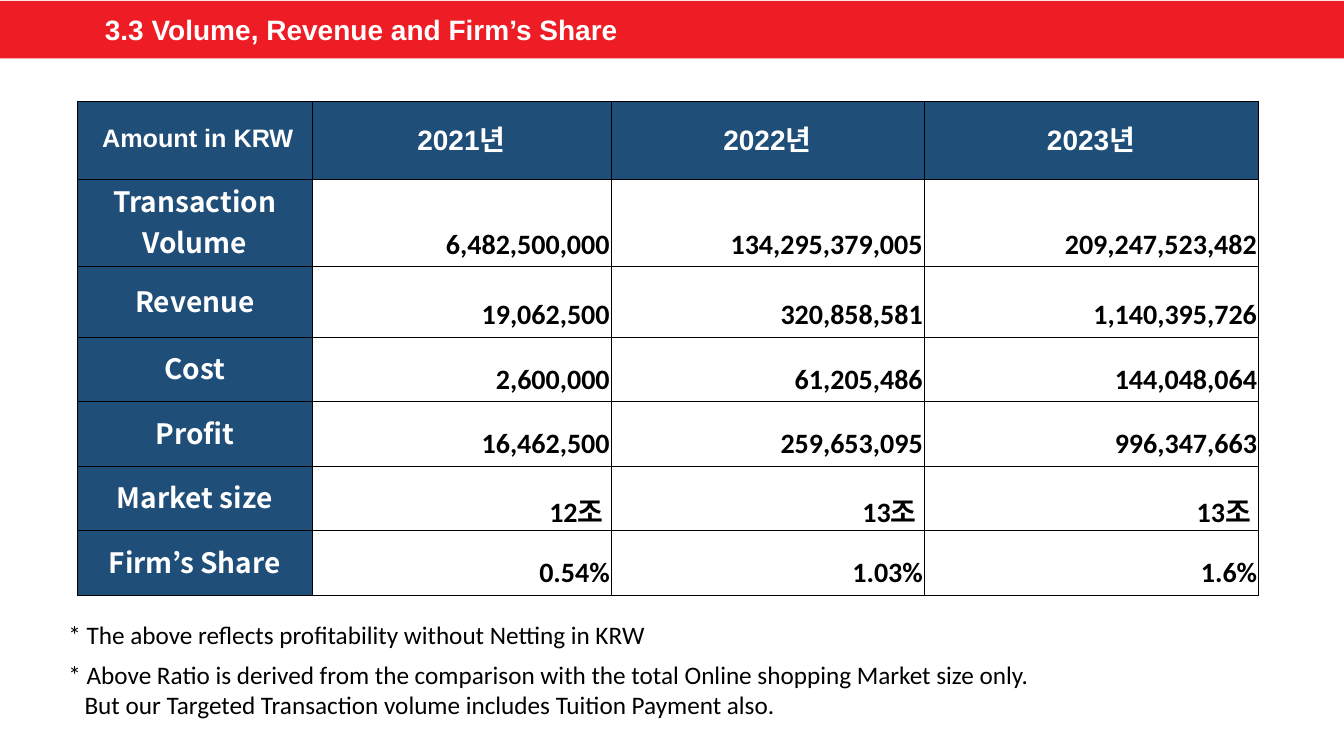
from dataclasses import dataclass

from lxml.etree import SubElement
from pptx import Presentation
from pptx.dml.color import RGBColor
from pptx.enum.text import MSO_ANCHOR, MSO_AUTO_SIZE, PP_ALIGN
from pptx.oxml.ns import qn
from pptx.util import Inches, Pt


@dataclass(frozen=True)
class Theme:
    """Colours, fonts and type sizes of the slide."""
    red: str = "EE1C24"
    navy: str = "1F4E79"
    white: str = "FFFFFF"
    black: str = "000000"
    heading_font: str = "Arial"
    label_font: str = "Noto Sans CJK KR"
    body_font: str = "Calibri"
    large: int = 20
    small: int = 18
    border: float = 0.5


THEME = Theme()

TITLE = "3.3 Volume, Revenue and Firm’s Share"
COLUMN_WIDTHS = [2.32, 2.96, 3.1, 3.31]
ROW_HEIGHTS = [0.77, 0.73, 0.7] + [0.64] * 4
ROWS = [
    [" Amount in KRW", "2021년", "2022년", "2023년"],
    ["Transaction Volume", "6,482,500,000", "134,295,379,005", "209,247,523,482"],
    ["Revenue", "19,062,500", "320,858,581", "1,140,395,726"],
    ["Cost", "2,600,000", "61,205,486", "144,048,064"],
    ["Profit", "16,462,500", "259,653,095", "996,347,663"],
    ["Market size", "12조 ", "13조 ", "13조 "],
    ["Firm’s Share", "0.54%", "1.03%", "1.6%"],
]
PROFIT_NOTE = ["* The above reflects profitability without Netting in KRW"]
RATIO_NOTE = [
    "* Above Ratio is derived from the comparison with the total Online shopping Market size only.",
    "But our Targeted Transaction volume includes Tuition Payment also.",
]


def format_para(para, font, size, color, bold=False, align=PP_ALIGN.LEFT):
    """Set the alignment of a paragraph and the type of its runs."""
    para.alignment = align
    for span in para.runs:
        span.font.name = font
        span.font.size = Pt(size)
        span.font.bold = bold
        span.font.color.rgb = RGBColor.from_string(color)


def indent_para(para, indent):
    """Move a paragraph in from the left."""
    properties = para._p.get_or_add_pPr()
    properties.set("marL", str(Inches(indent)))
    properties.set("indent", "0")


def add_title(page, left, top, width, height):
    """Turn the title placeholder into the red band."""
    title = page.shapes.title
    title.left, title.top = Inches(left), Inches(top)
    title.width, title.height = Inches(width), Inches(height)
    title.fill.solid()
    title.fill.fore_color.rgb = RGBColor.from_string(THEME.red)
    frame = title.text_frame
    frame.text = TITLE
    frame.auto_size = MSO_AUTO_SIZE.NONE
    frame.vertical_anchor = MSO_ANCHOR.MIDDLE
    para = frame.paragraphs[0]
    format_para(para, THEME.heading_font, THEME.large, THEME.white, bold=True)
    indent_para(para, 0.94)


def add_borders(cell):
    """Draw a thin black line on each side of a cell."""
    properties = cell._tc.get_or_add_tcPr()
    for side in ("lnL", "lnR", "lnT", "lnB"):
        line = SubElement(properties, qn(f"a:{side}"), w=str(Pt(THEME.border)))
        fill = SubElement(line, qn("a:solidFill"))
        SubElement(fill, qn("a:srgbClr"), val=THEME.black)


def fill_cell(cell, text, row, column):
    """Write one cell as a column heading, row label or figure."""
    is_figure = row > 0 and column > 0
    cell.margin_left = cell.margin_right = cell.margin_top = Inches(0.01)
    cell.margin_bottom = Inches(0 if is_figure and "조" in text else 0.05)
    add_borders(cell)
    cell.text_frame.text = text
    para = cell.text_frame.paragraphs[0]
    if is_figure:
        cell.fill.background()
        cell.vertical_anchor = MSO_ANCHOR.BOTTOM
        format_para(para, THEME.body_font, THEME.large, THEME.black, True, PP_ALIGN.RIGHT)
    else:
        cell.fill.solid()
        cell.fill.fore_color.rgb = RGBColor.from_string(THEME.navy)
        cell.vertical_anchor = MSO_ANCHOR.MIDDLE
        font = THEME.heading_font if row == 0 else THEME.label_font
        size = THEME.small if row == column == 0 else THEME.large
        format_para(para, font, size, THEME.white, True, PP_ALIGN.CENTER)


def add_figures(page, left, top, width, height):
    """Place the table of yearly figures."""
    table = page.shapes.add_table(
        len(ROWS), len(COLUMN_WIDTHS),
        Inches(left), Inches(top), Inches(width), Inches(height),
    ).table
    table.horz_banding = False
    for column, share in zip(table.columns, COLUMN_WIDTHS):
        column.width = Inches(width * share / sum(COLUMN_WIDTHS))
    for row, share in zip(table.rows, ROW_HEIGHTS):
        row.height = Inches(height * share / sum(ROW_HEIGHTS))
    for row, texts in enumerate(ROWS):
        for column, text in enumerate(texts):
            fill_cell(table.cell(row, column), text, row, column)


def add_note(page, lines, left, top, width, height):
    """Place a footnote whose later lines align with its first word."""
    box = page.shapes.add_textbox(Inches(left), Inches(top), Inches(width), Inches(height))
    frame = box.text_frame
    frame.word_wrap = True
    frame.text = "\n".join(lines)
    for index, para in enumerate(frame.paragraphs):
        format_para(para, THEME.body_font, THEME.small, THEME.black)
        if index > 0:
            indent_para(para, 0.16)


def main():
    """Build the slide and save the deck."""
    deck = Presentation()
    deck.slide_width, deck.slide_height = Inches(13.33), Inches(7.5)
    page = deck.slides.add_slide(deck.slide_layouts[5])
    add_title(page, 0, 0.01, 13.33, 0.57)
    add_figures(page, 0.77, 1.01, 11.71, 4.76)
    add_note(page, PROFIT_NOTE, 0.58, 6.09, 6.48, 0.4)
    add_note(page, RATIO_NOTE, 0.58, 6.49, 11.98, 0.71)
    deck.save("out.pptx")


if __name__ == "__main__":
    main()
